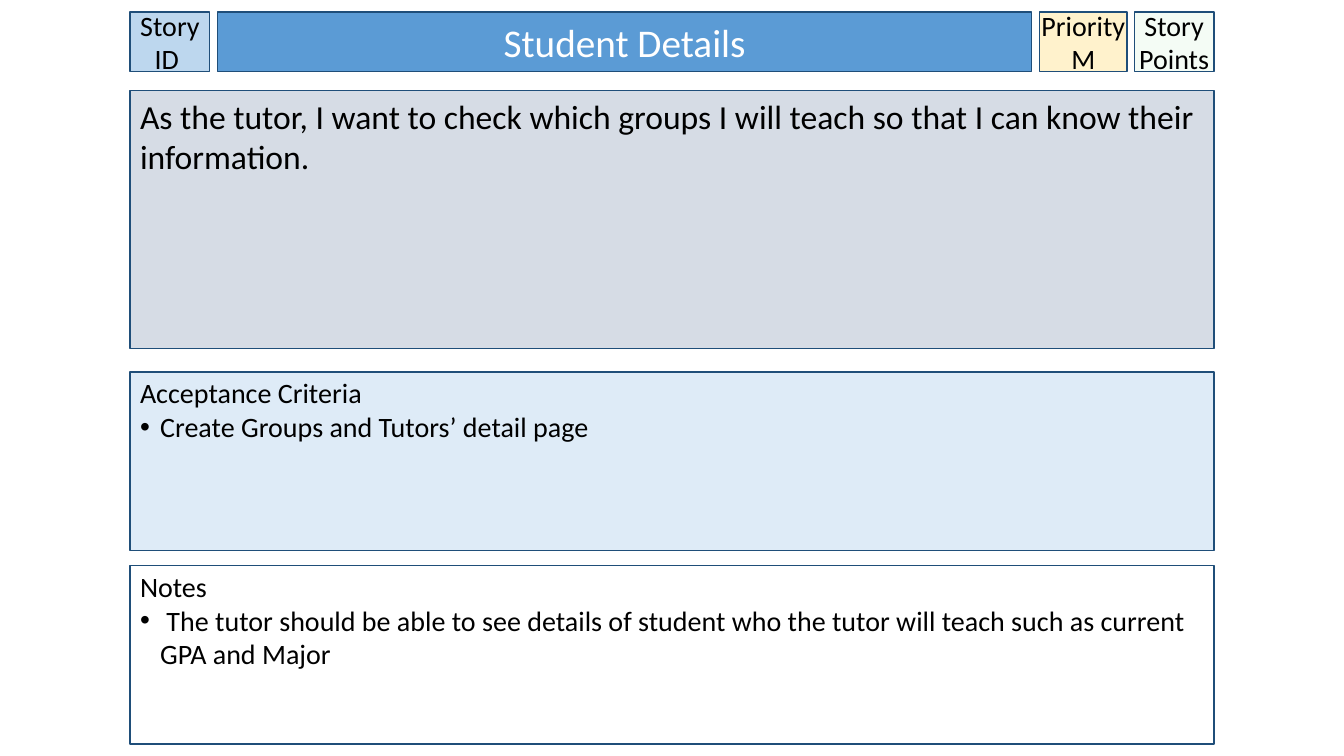
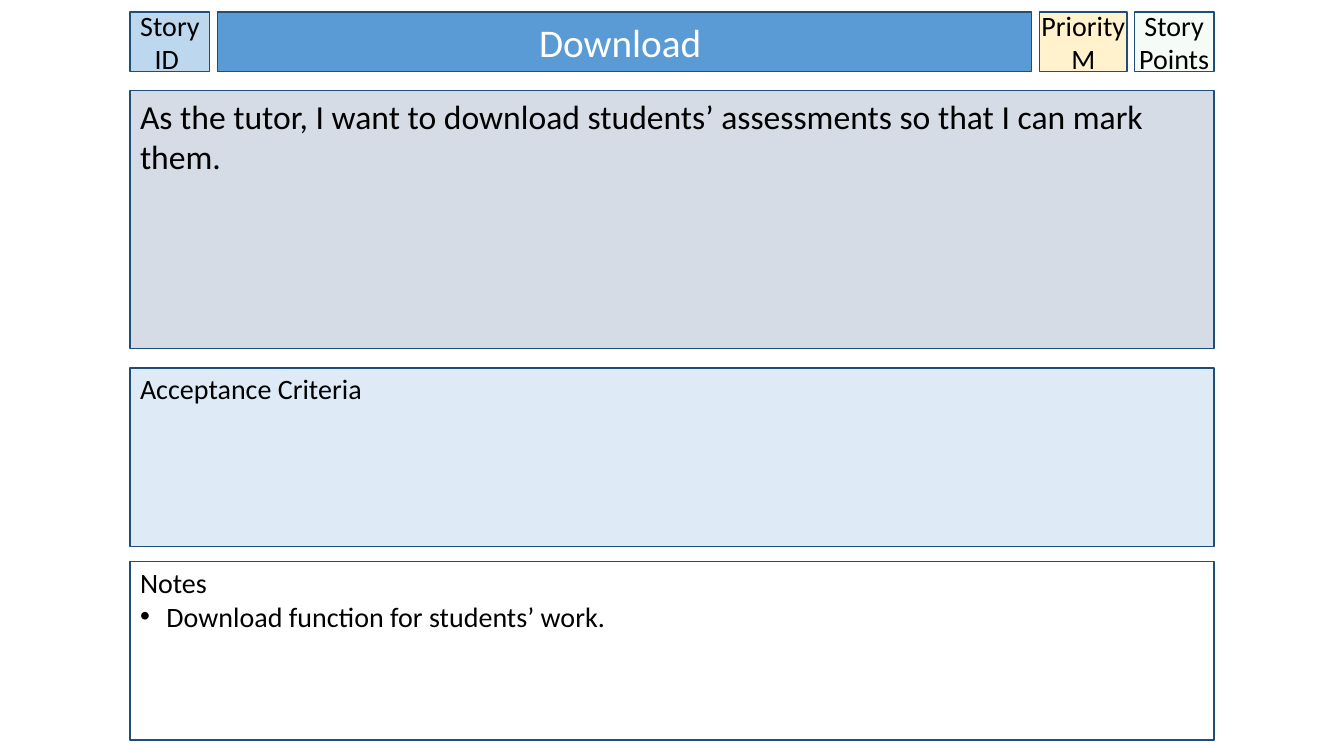
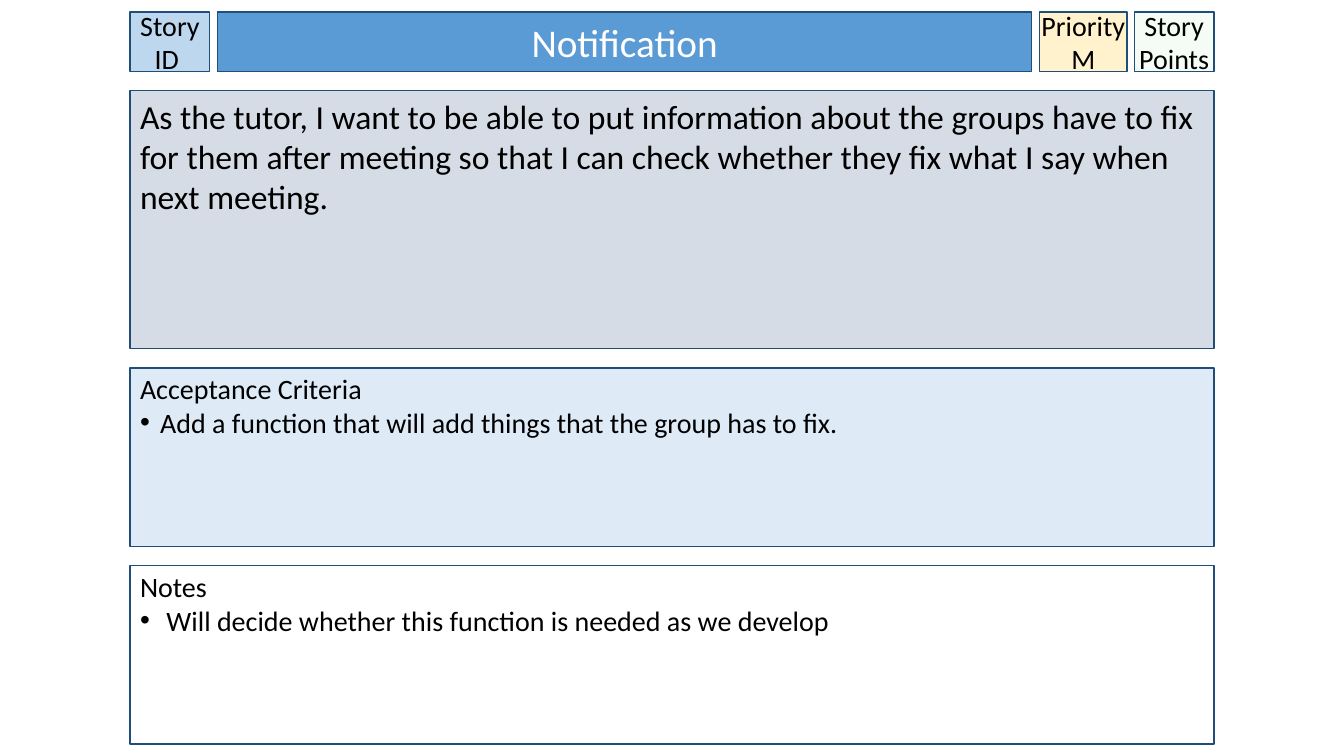
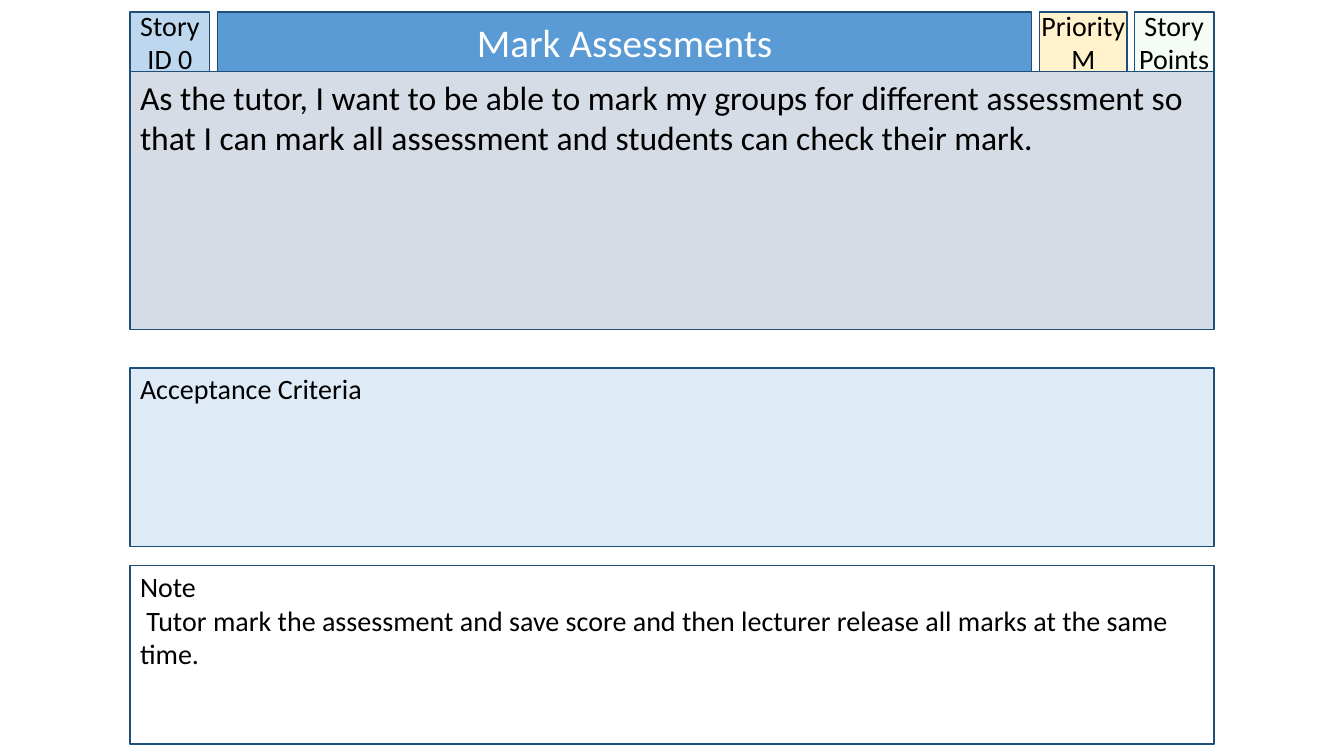
import pptx
import pptx.dml.color
import pptx.enum.shapes
import pptx.enum.text
import pptx.oxml.ns
import pptx.util
from lxml import etree

Inches = pptx.util.Inches
Pt = pptx.util.Pt
ALIGN = pptx.enum.text.PP_ALIGN
ANCHOR = pptx.enum.text.MSO_ANCHOR

STORIES = [
    {
        "title": "Student Details",
        "story": "As the tutor, I want to check which groups I will teach so that I can know their information.",
        "criteria": ["Create Groups and Tutors’ detail page"],
        "criteria_top": 3.69,
        "notes": [" The tutor should be able to see details of student who the tutor will teach such as current GPA and Major"],
    },
    {
        "title": "Download ",
        "story": "As the tutor, I want to download students’ assessments so that I can mark them.",
        "notes": [" Download function for students’ work."],
        "notes_top": 5.57,
    },
    {
        "title": "Notification",
        "story": "As the tutor, I want to be able to put information about the groups have to fix for them after meeting so that I can check whether they fix what I say when next meeting.",
        "criteria": ["Add a function that will add things that the group has to fix."],
        "notes": [" Will decide whether this function is needed as we develop"],
    },
    {
        "story_id": "Story ID 0",
        "title": "Mark Assessments",
        "story": "As the tutor, I want to be able to mark my groups for different assessment so that I can mark all assessment and students can check their mark.",
        "story_top": 0.71,
        "notes_heading": "Note",
        "notes": [" Tutor mark the assessment and save score and then lecturer release all marks at the same time."],
        "notes_bulleted": False,
    },
]


def color(value):
    return pptx.dml.color.RGBColor.from_string(value)


class StoryCards:
    """Draws user story cards in one shared style."""

    FONT = "Calibri"
    BLACK, WHITE, LINE = "000000", "FFFFFF", "1F4E79"
    TITLE_FILL, ID_FILL, PRIORITY_FILL, POINTS_FILL = "5B9BD5", "BDD7EE", "FFF2CC", "CCF0CD"
    STORY_FILL, CRITERIA_FILL = "D6DCE5", "DEEBF7"
    LEFT, WIDTH = 1.29, 10.75
    HEADER_TOP, HEADER_HEIGHT = 0.12, 0.59
    STORY_HEIGHT, LIST_HEIGHT = 2.56, 1.77

    def __init__(self):
        self.presentation = pptx.Presentation()
        self.presentation.slide_width = Inches(13.33)
        self.presentation.slide_height = Inches(7.5)
        self.slide = None

    def add_slide(self):
        self.slide = self.presentation.slides.add_slide(self.presentation.slide_layouts[6])

    def box(self, left, top, width, height, fill, insets=(0.1, 0.05), anchor=ANCHOR.TOP):
        shape = self.slide.shapes.add_shape(
            pptx.enum.shapes.MSO_SHAPE.RECTANGLE,
            Inches(left), Inches(top), Inches(width), Inches(height))
        shape.shadow.inherit = False
        shape.fill.solid()
        shape.fill.fore_color.rgb = color(fill)
        shape.line.color.rgb = color(self.LINE)
        shape.line.width = Pt(1)
        frame = shape.text_frame
        frame.word_wrap = True
        frame.vertical_anchor = anchor
        frame.margin_left = frame.margin_right = Inches(insets[0])
        frame.margin_top = Inches(insets[1])
        frame.margin_bottom = Inches(0.05)
        return shape

    def add_lines(self, shape, lines, size, align=ALIGN.LEFT, ink=BLACK):
        frame = shape.text_frame
        for index, line in enumerate(lines):
            paragraph = frame.add_paragraph() if index else frame.paragraphs[0]
            paragraph.alignment = align
            run = paragraph.add_run()
            run.text = line
            run.font.name = self.FONT
            run.font.size = Pt(size)
            run.font.color.rgb = color(ink)

    def bullet(self, paragraph):
        properties = paragraph._p.get_or_add_pPr()
        properties.set("marL", str(Inches(0.2)))
        properties.set("indent", str(Inches(-0.2)))
        font = etree.SubElement(properties, pptx.oxml.ns.qn("a:buFont"))
        font.set("typeface", "Arial")
        etree.SubElement(properties, pptx.oxml.ns.qn("a:buChar")).set("char", "•")

    def make_transparent(self, shape, opacity):
        fill = shape._element.spPr.find(pptx.oxml.ns.qn("a:solidFill"))
        etree.SubElement(fill[0], pptx.oxml.ns.qn("a:alpha")).set("val", str(opacity * 1000))

    def badge(self, left, width, fill, lines):
        shape = self.box(left, self.HEADER_TOP, width, self.HEADER_HEIGHT, fill, (0, 0.05), ANCHOR.MIDDLE)
        self.add_lines(shape, lines, 20, ALIGN.CENTER)
        return shape

    def title(self, text):
        shape = self.box(2.16, self.HEADER_TOP, 8.07, self.HEADER_HEIGHT, self.TITLE_FILL, anchor=ANCHOR.MIDDLE)
        self.add_lines(shape, [text], 28, ALIGN.CENTER, self.WHITE)

    def story(self, top, text):
        shape = self.box(self.LEFT, top, self.WIDTH, self.STORY_HEIGHT, self.STORY_FILL)
        self.add_lines(shape, [text], 24)

    def list_panel(self, top, fill, heading, items, bulleted=True):
        shape = self.box(self.LEFT, top, self.WIDTH, self.LIST_HEIGHT, fill, (0.1, 0.04))
        self.add_lines(shape, [heading, *items], 20)
        if bulleted:
            for paragraph in shape.text_frame.paragraphs[1:]:
                self.bullet(paragraph)

    def card(self, title, story, notes, criteria=(), story_id="Story ID ", story_top=0.9,
             criteria_top=3.65, notes_top=5.61, notes_heading="Notes", notes_bulleted=True):
        self.add_slide()
        self.badge(self.LEFT, 0.79, self.ID_FILL, [story_id])
        self.title(title)
        points = self.badge(11.25, 0.79, self.POINTS_FILL, ["Story Points"])
        self.make_transparent(points, 20)
        priority = self.badge(10.31, 0.87, self.PRIORITY_FILL, ["Priority", "M"])
        priority.text_frame.word_wrap = False
        self.story(story_top, story)
        self.list_panel(criteria_top, self.CRITERIA_FILL, "Acceptance Criteria", criteria)
        self.list_panel(notes_top, self.WHITE, notes_heading, notes, notes_bulleted)


def main():
    cards = StoryCards()
    for story in STORIES:
        cards.card(**story)
    cards.presentation.save("out.pptx")


if __name__ == "__main__":
    main()
